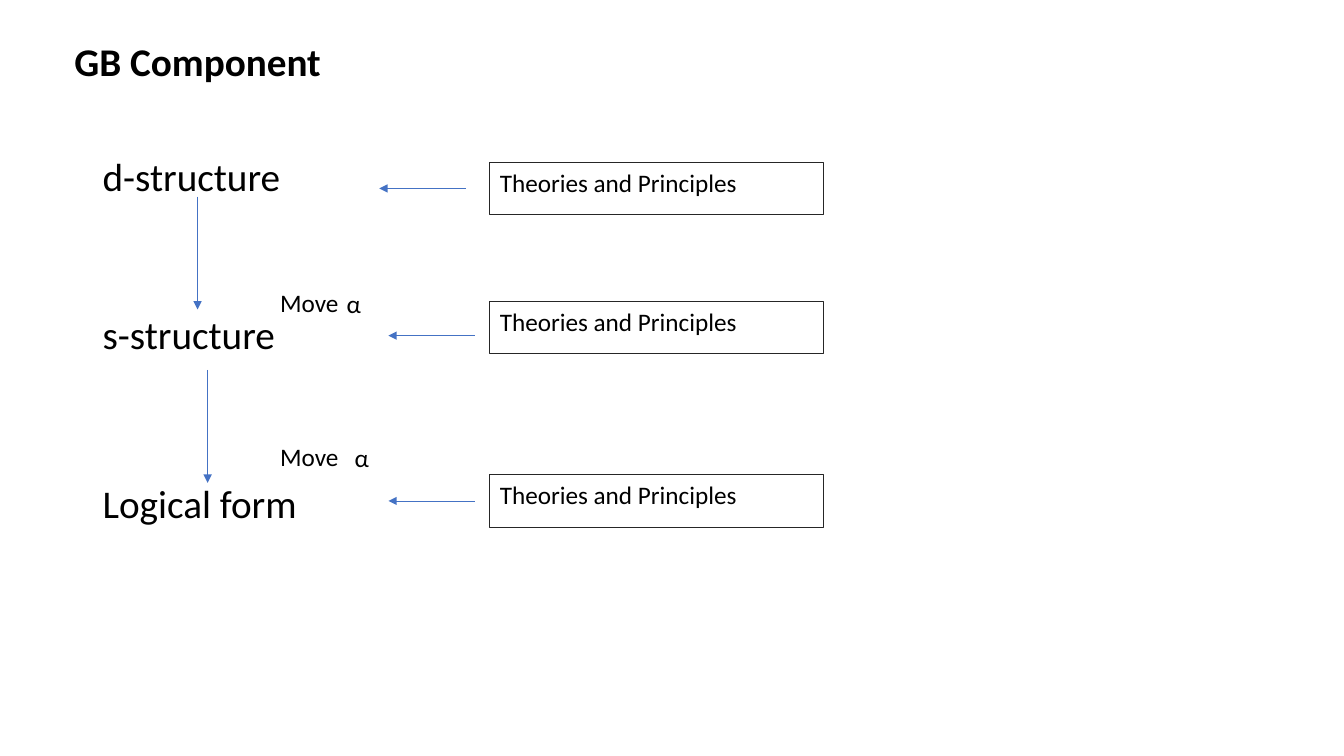
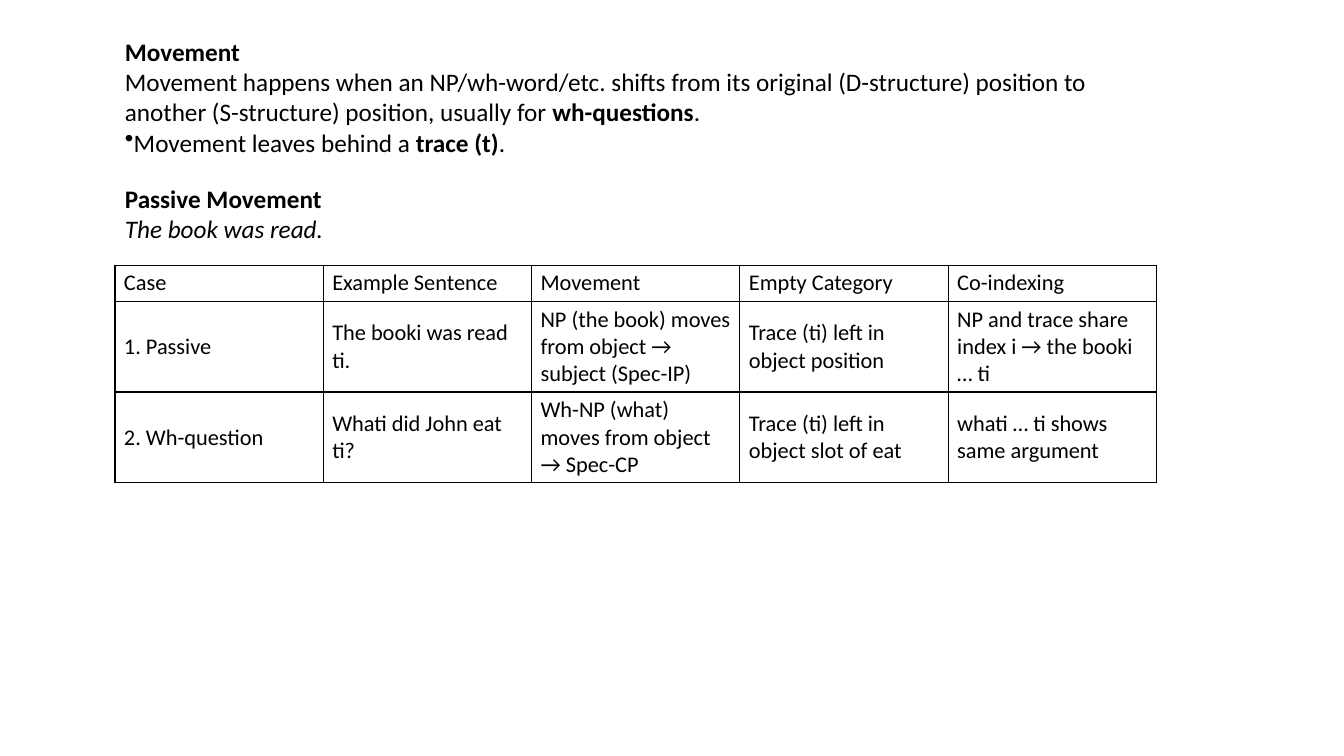
from lxml.etree import SubElement
from pptx import Presentation
from pptx.dml.color import RGBColor
from pptx.enum.shapes import MSO_CONNECTOR, MSO_SHAPE
from pptx.enum.text import MSO_ANCHOR, PP_ALIGN
from pptx.oxml.ns import qn
from pptx.util import Inches, Pt

BLACK = RGBColor(0x00, 0x00, 0x00)
BOX_LINE = RGBColor(0x26, 0x26, 0x26)
ARROW_BLUE = RGBColor(0x44, 0x72, 0xC4)
FONT = "Calibri"

deck = Presentation()
deck.slide_width, deck.slide_height = Inches(13.333), Inches(7.5)
COL, ROW = deck.slide_width / 40, deck.slide_height / 30
blank = deck.slide_layouts[6]


def write(shape, lines, size):
    """Fill a shape with paragraphs; each line is a list of (text, style), style being '', 'b' or 'bi'."""
    frame = shape.text_frame
    frame.word_wrap = True
    frame.vertical_anchor = MSO_ANCHOR.TOP
    for number, pieces in enumerate(lines):
        paragraph = frame.paragraphs[0] if number == 0 else frame.add_paragraph()
        paragraph.alignment = PP_ALIGN.LEFT
        if pieces[0][0].startswith("•"):
            properties = paragraph._p.get_or_add_pPr()
            properties.set("marL", "0")
            properties.set("indent", "0")
            SubElement(properties, qn("a:buChar"), char="•")
        paragraph.font.name, paragraph.font.size = FONT, Pt(size)
        paragraph.font.color.rgb = BLACK
        styles = {style for _, style in pieces}
        for text, style in pieces:
            run = paragraph.add_run()
            run.text = text.lstrip("•")
            font = paragraph.font if len(styles) == 1 else run.font
            font.bold, font.italic = "b" in style, "i" in style


def add_arrow(slide, x1, y1, x2, y2):
    arrow = slide.shapes.add_connector(
        MSO_CONNECTOR.STRAIGHT, int(x1 * COL), int(y1 * ROW), int(x2 * COL), int(y2 * ROW))
    arrow.line.color.rgb, arrow.line.width = ARROW_BLUE, Pt(0.5)
    SubElement(arrow.line._get_or_add_ln(), qn("a:tailEnd"), type="triangle")
    SubElement(arrow._element.spPr, qn("a:effectLst"))


# Components of the theory: levels, movements and principles
components = deck.slides.add_slide(blank)
component_texts = [
    # text, style, size, column, row, columns wide, rows high
    ("GB Component", "b", 28, 1.92, 1.28, 23.43, 2.28),
    ("d-structure", "", 28, 2.76, 5.84, 7.98, 5.36),
    ("s-structure", "", 28, 2.76, 12.12, 7.98, 5.36),
    ("Logical form", "", 28, 2.76, 18.84, 8.25, 2.92),
]
for move_row, alpha_col in [(11.2, 10.02), (17.32, 10.26)]:
    component_texts += [
        ("Move", "", 18, 8.04, move_row, 3.24, 2.08),
        ("α", "", 18, alpha_col, move_row + 0.04, 9.3, 2.08),
    ]
for text, style, size, x, y, w, h in component_texts:
    label = components.shapes.add_textbox(int(x * COL), int(y * ROW), int(w * COL), int(h * ROW))
    write(label, [[(text, style)]], size)

for x, y in [(5.88, 7.8), (6.18, 14.68)]:
    add_arrow(components, x, y, x, y + 4.48)

for box_row, arrow_col, arrow_row in [(6.44, 13.86, 7.48), (11.96, 14.13, 13.32), (18.84, 14.13, 19.88)]:
    principles = components.shapes.add_shape(
        MSO_SHAPE.RECTANGLE, int(14.58 * COL), int(box_row * ROW), int(9.93 * COL), int(2.08 * ROW))
    principles.shadow.inherit = False
    principles.fill.background()
    principles.line.color.rgb, principles.line.width = BOX_LINE, Pt(0.75)
    write(principles, [[("Theories and Principles", "")]], 18)
    add_arrow(components, arrow_col, arrow_row, arrow_col - 2.57, arrow_row)

# Movement: definition, passive example and table of cases
movement = deck.slides.add_slide(blank)
LEFT = int(3.42 * COL)
definition = [
    [("Movement", "b")],
    [("Movement happens when an NP/wh-word/etc. shifts from its original (D-structure) position to "
      "another (S-structure) position, usually for ", ""), ("wh-questions", "b"), (".", "")],
    [("•Movement leaves behind a ", ""), ("trace (t)", "b"), (".", "")],
]
passive = [[("Passive Movement", "b")], [("The book was read.", "i")]]
for lines, y, w, h in [(definition, 1.24, 29.79, 5.24), (passive, 7.08, 20, 2.84)]:
    passage = movement.shapes.add_textbox(LEFT, int(y * ROW), int(w * COL), int(h * ROW))
    write(passage, lines, 18)

cases = [
    ["Case", "Example Sentence", "Movement", "Empty Category", "Co-indexing"],
    ["1. Passive", "The booki was read ti.", "NP (the book) moves from object → subject (Spec-IP)",
     "Trace (ti) left in object position", "NP and trace share index i → the booki … ti"],
    ["2. Wh-question", "Whati did John eat ti?", "Wh-NP (what) moves from object → Spec-CP",
     "Trace (ti) left in object slot of eat", "whati … ti shows same argument"],
]
row_heights = [1.44, 3.6, 3.6]
case_table = movement.shapes.add_table(
    len(cases), len(cases[0]), LEFT, int(10.52 * ROW), int(31 * COL), int(sum(row_heights) * ROW)).table
case_table.first_row = case_table.horz_banding = False
for column in case_table.columns:
    column.width = int(6.2 * COL)
for r, (height, texts) in enumerate(zip(row_heights, cases)):
    case_table.rows[r].height = int(height * ROW)
    for c, text in enumerate(texts):
        cell = case_table.cell(r, c)
        cell.text = text
        cell.vertical_anchor = MSO_ANCHOR.MIDDLE
        cell.margin_left = cell.margin_right = Inches(0.09)
        cell.margin_top = cell.margin_bottom = Inches(0.04)
        font = cell.text_frame.paragraphs[0].font
        font.name, font.size, font.color.rgb = FONT, Pt(16), BLACK
        for side in ("lnL", "lnR", "lnT", "lnB"):
            border = SubElement(cell._tc.get_or_add_tcPr(), qn(f"a:{side}"), w=str(Pt(1)))
            SubElement(SubElement(border, qn("a:solidFill")), qn("a:srgbClr"), val=str(BLACK))
        cell.fill.background()

deck.save("out.pptx")
